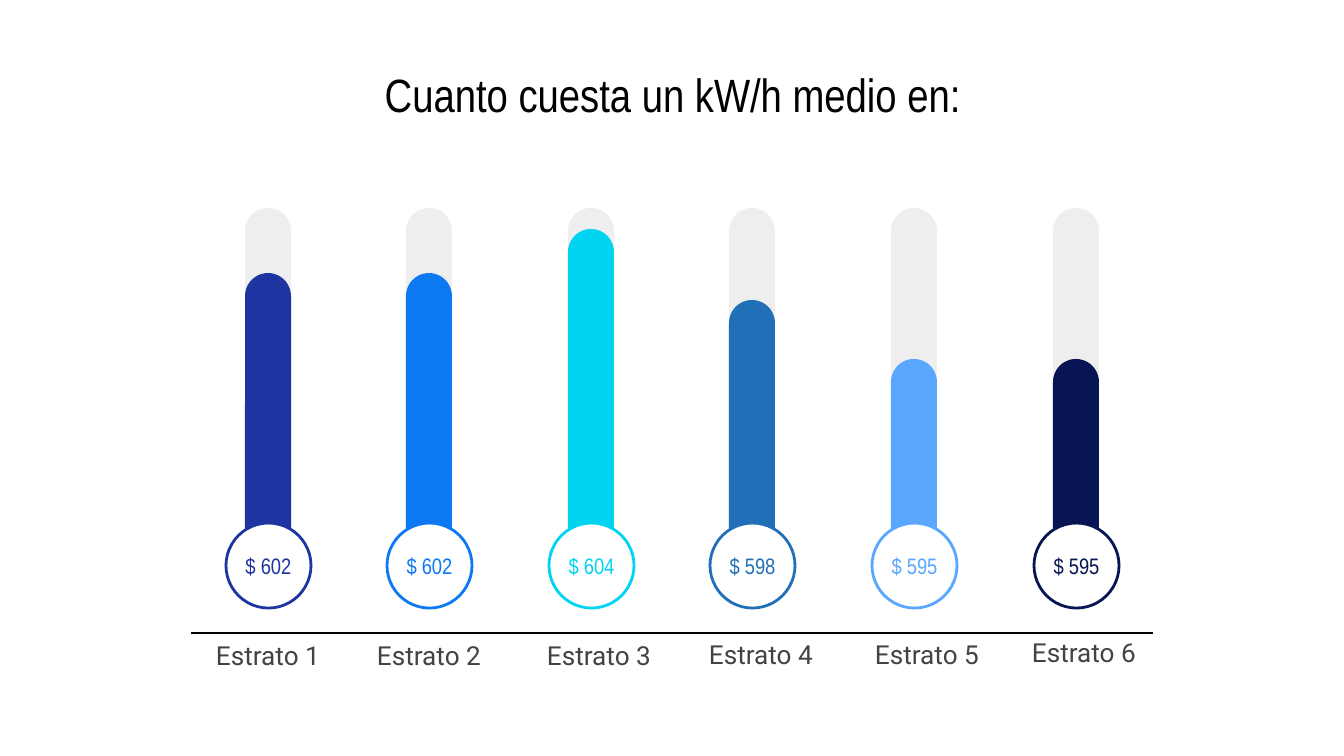
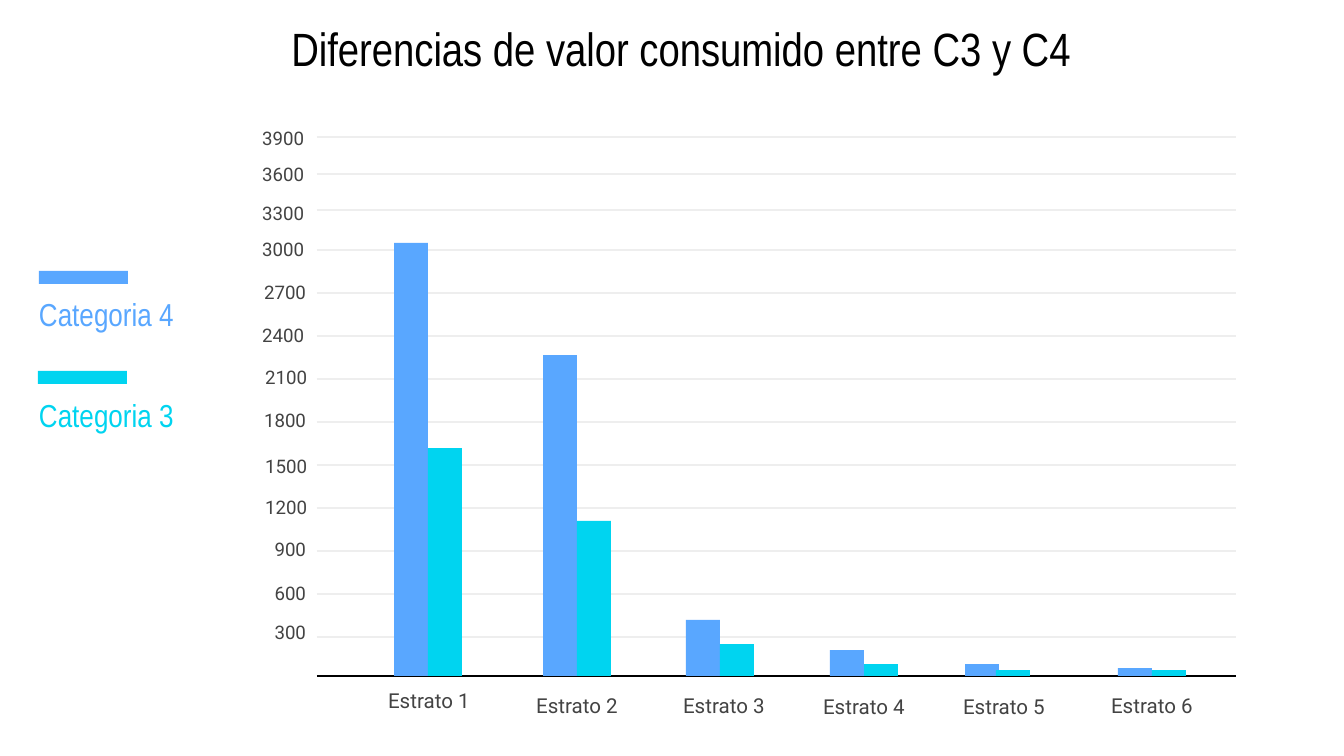
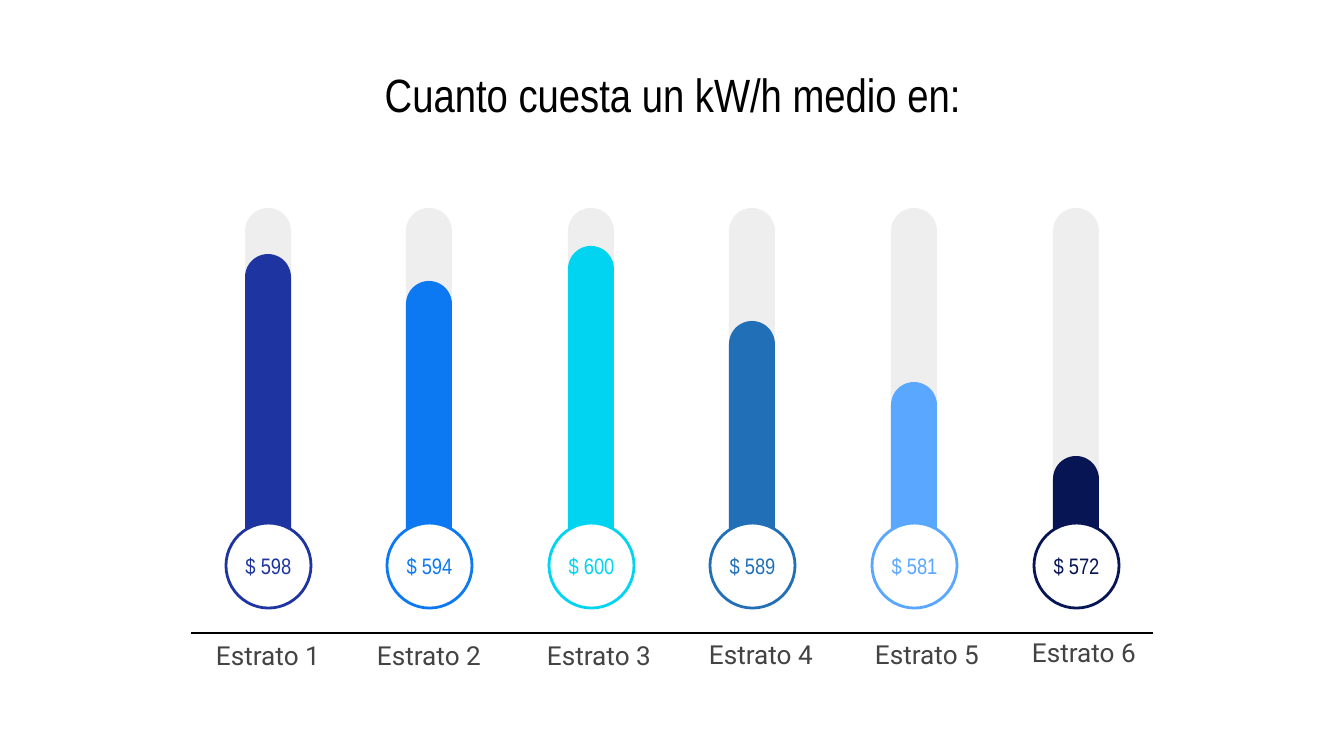
"""Build three slides on energy prices and use by stratum."""
from lxml.etree import SubElement
from pptx import Presentation
from pptx.dml.color import RGBColor
from pptx.enum.shapes import MSO_CONNECTOR as Link, MSO_SHAPE as Kind
from pptx.enum.text import MSO_ANCHOR as Anchor, PP_ALIGN as Align
from pptx.oxml.ns import qn
from pptx.util import Pt

PX = 6804
PAD = 13
NARROW, SANS = "Arial Narrow", "Roboto"
BLACK, GREY, PALE, WHITE = "000000", "434343", "EEEEEE", "FFFFFF"
SKY, CYAN = "59A7FF", "00D4F0"
TONES = ["1E35A1", "0C79F3", CYAN, "2170B7", SKY, "071554"]
hue = RGBColor.from_string


def put(shapes, box, kind=None, fill=None, edge=None, text="", font=NARROW,
        size=12, tone=BLACK, align=Align.CENTER, side=PAD):
    """Add a filled shape, or a text box when no kind is given."""
    area = [n * PX for n in box]
    if kind is None:
        item = shapes.add_textbox(*area)
    else:
        item = shapes.add_shape(kind, *area)
        item.shadow.inherit = False
        item.fill.solid()
        item.fill.fore_color.rgb = hue(fill)
        if edge:
            item.line.color.rgb = hue(edge)
            item.line.width = Pt(1.5)
        else:
            item.line.fill.background()
        if kind == Kind.ROUNDED_RECTANGLE:
            item.adjustments[0] = 0.5
    if text:
        frame = item.text_frame
        frame.word_wrap = True
        frame.vertical_anchor = Anchor.MIDDLE
        frame.margin_left = frame.margin_right = side * PX
        frame.margin_top = frame.margin_bottom = PAD * PX
        para = frame.paragraphs[0]
        para.alignment = align
        run = para.add_run()
        run.text = text
        run.font.name = font
        run.font.size = Pt(size)
        run.font.color.rgb = hue(tone)


def rule(shapes, left, right, y, tone):
    """Add a thin level line."""
    line = shapes.add_connector(Link.STRAIGHT, left * PX, y * PX, right * PX, y * PX)
    line.line.color.rgb = hue(tone)
    line.line.width = Pt(0.75)
    SubElement(line._element.spPr, qn("a:effectLst"))


deck = Presentation()
deck.slide_width = 1344 * PX
deck.slide_height = 756 * PX
pages = [deck.slides.add_slide(deck.slide_layouts[6]).shapes for _ in range(3)]

titles = [
    ("Cuanto cuesta un kW/h medio en:", 42, 58, 1261),
    ("Diferencias de valor consumido entre C3 y C4", 78, 12, 1206),
    ("Cuanto cuesta un kW/h medio en:", 42, 58, 1261),
]
for page, (title, left, top, width) in zip(pages, titles):
    put(page, (left, top, width, 71), text=title, size=25)

gauges = [
    (pages[0], [(602, 273), (602, 273), (604, 229), (598, 300), (595, 359), (595, 359)]),
    (pages[2], [(598, 254), (594, 281), (600, 246), (589, 321), (581, 382), (572, 456)]),
]
names = [(268, 633), (429, 633), (599, 633), (761, 632), (927, 632), (1084, 630)]
foot = 579
for page, costs in gauges:
    rule(page, 191, 1153, 633, BLACK)
    for i, (cost, top) in enumerate(costs):
        group = page.add_group_shape().shapes
        mid = 268 + 808 * i // 5
        for start, fill in [(208, PALE), (top, TONES[i])]:
            put(group, (mid - 23, start, 46, foot - start), Kind.ROUNDED_RECTANGLE, fill)
        put(group, (mid - 42, 523, 85, 85), Kind.OVAL, WHITE, TONES[i],
            f"$ {cost}", tone=TONES[i], side=0)
        x, y = names[i]
        put(group, (x - 75, y, 150, 44), text=f"Estrato {i + 1}",
            font=SANS, size=14, tone=GREY)

page = pages[1]
for y in [137, 174, 210, *range(250, 638, 43)]:
    rule(page, 317, 1236, y, PALE)
rule(page, 317, 1236, 676, BLACK)

ticks = [(235, 120), (235, 156), (235, 195), (235, 231), (237, 274), (235, 317),
         (238, 359), (237, 402), (238, 448), (238, 489), (237, 531), (237, 575), (237, 614)]
for i, (left, top) in enumerate(ticks):
    put(page, (left, top, 82, 36), text=str(3900 - 300 * i),
        font=SANS, size=10, tone=GREY, align=Align.RIGHT)

keys = [("Categoria 4", SKY, 39, 271, 294), ("Categoria 3", CYAN, 38, 371, 395)]
for name, tone, left, top, drop in keys:
    group = page.add_group_shape().shapes
    put(group, (left, top, 89, 13), Kind.RECTANGLE, tone)
    put(group, (26, drop, 261, 39), text=name, size=17, tone=tone, align=Align.LEFT)

pairs = [
    (394, 243, 428, 448, 429, 700),
    (543, 355, 577, 521, 577, 705),
    (686, 620, 720, 644, 724, 705),
    (830, 650, 864, 664, 864, 706),
    (965, 664, 996, 670, 1004, 706),
    (1118, 668, 1152, 670, 1152, 705),
]
for i, (left4, top4, left3, top3, x, y) in enumerate(pairs, 1):
    group = page.add_group_shape().shapes
    for left, top, tone in [(left4, top4, SKY), (left3, top3, CYAN)]:
        put(group, (left, top, 34, 676 - top), Kind.RECTANGLE, tone)
    put(page, (x - 62, y - 15, 124, 30), text=f"Estrato {i}",
        font=SANS, size=11, tone=GREY)

deck.save("out.pptx")
